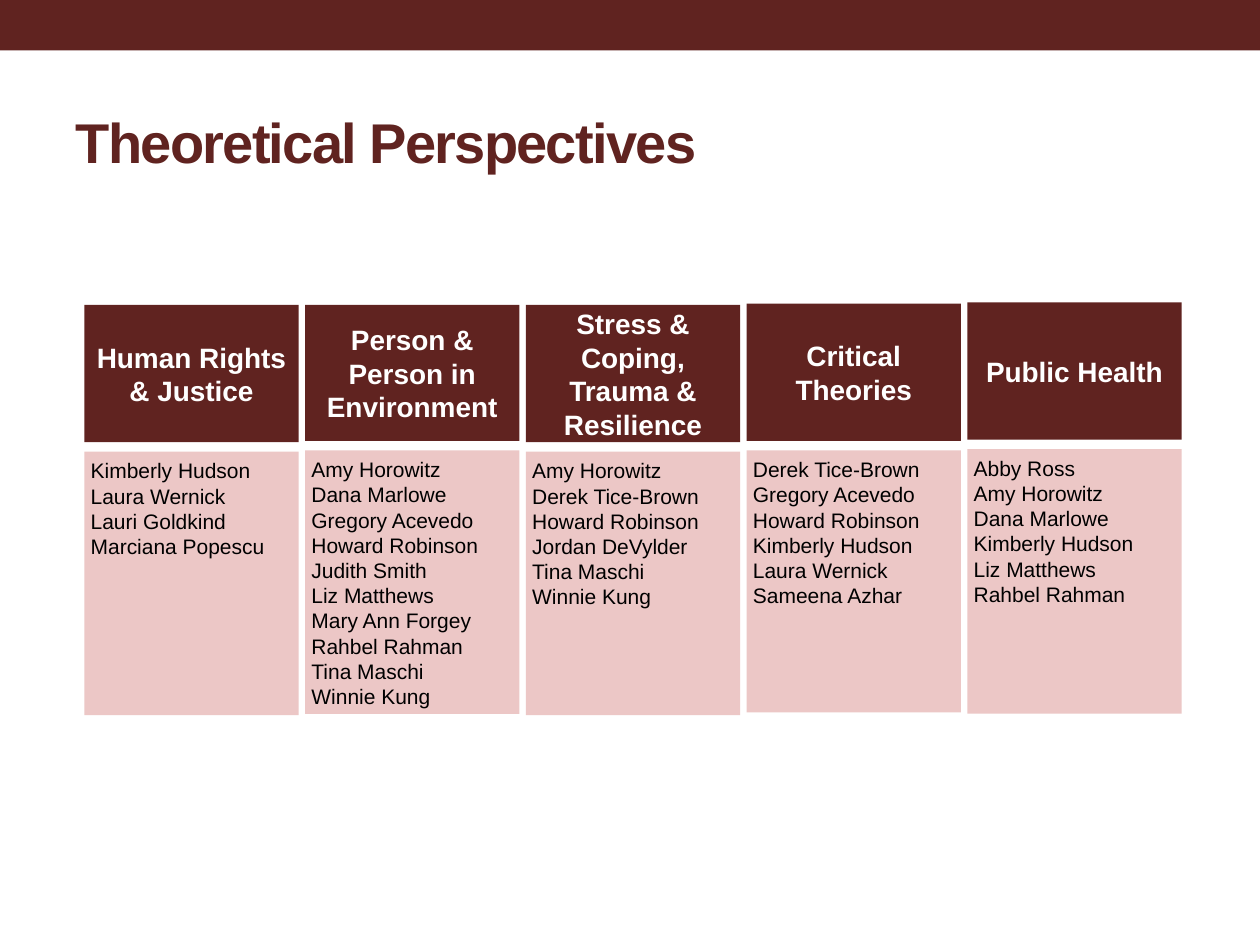
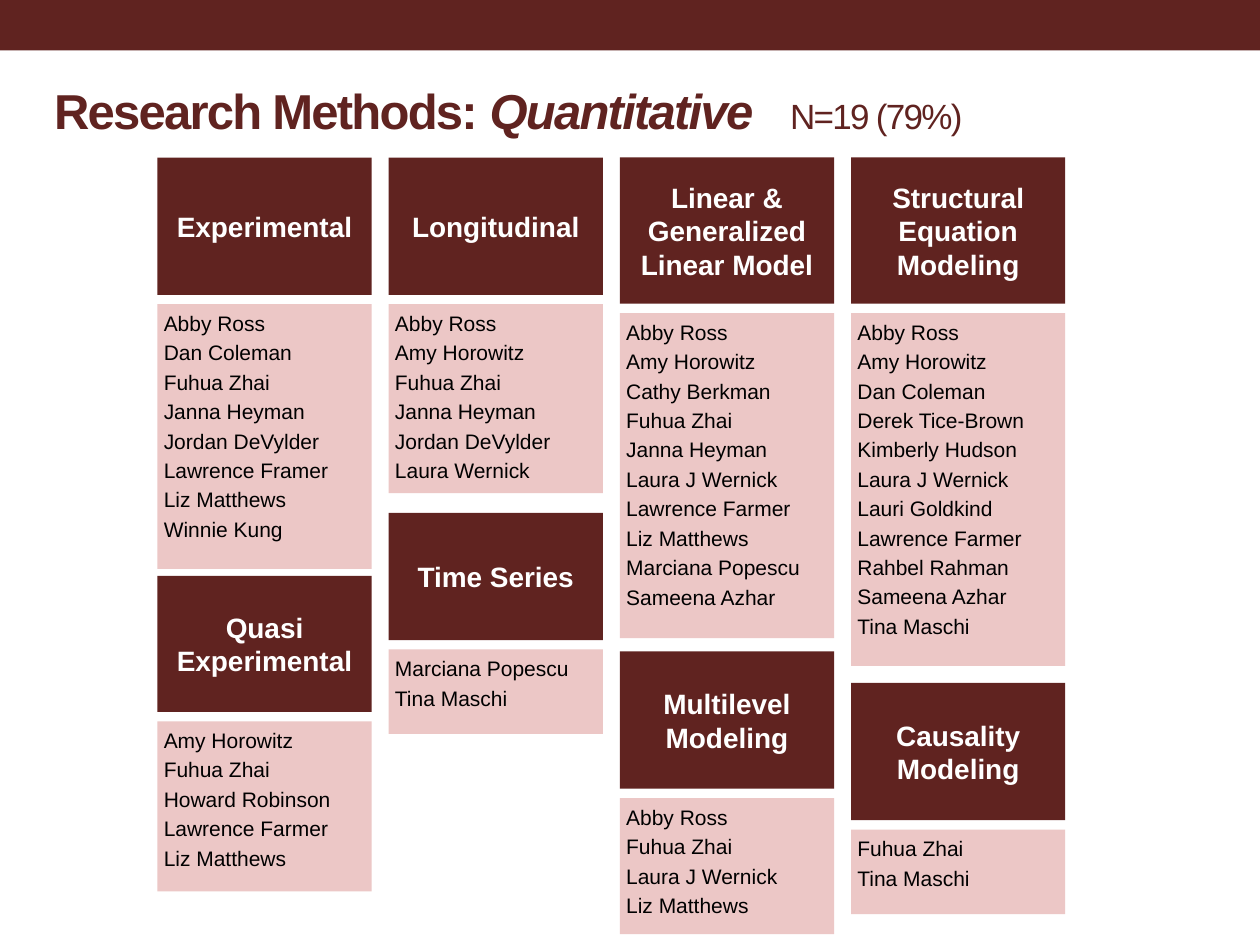
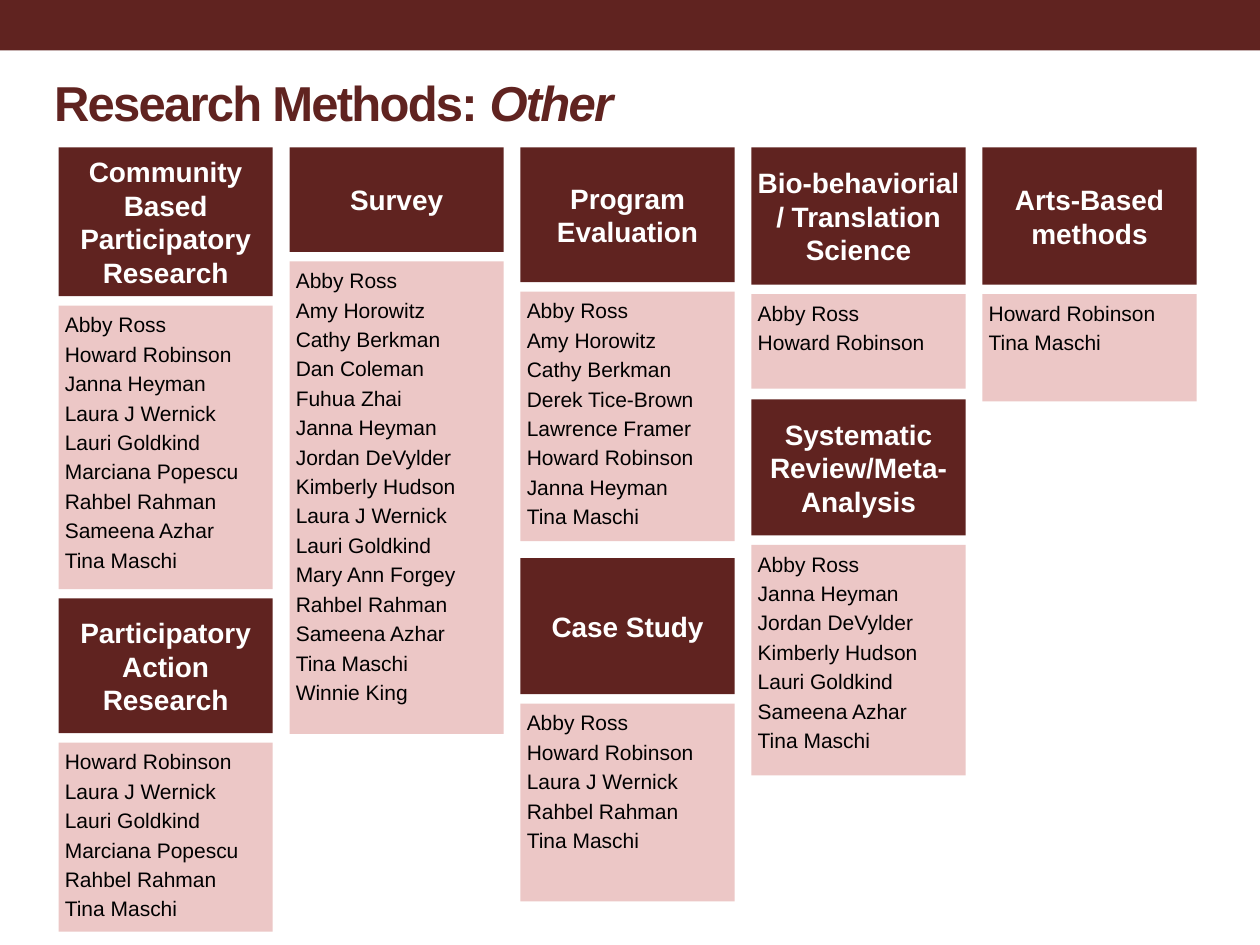
from dataclasses import dataclass

from lxml import etree
from pptx import Presentation
from pptx import util as u
from pptx.dml.color import RGBColor
from pptx.enum import shapes, text
from pptx.oxml import ns


@dataclass(frozen=True)
class Theme:
    """Colours, font and type sizes shared by all slides."""
    maroon: RGBColor = RGBColor(0x60, 0x23, 0x20)
    pink: RGBColor = RGBColor(0xEC, 0xC7, 0xC6)
    white: RGBColor = RGBColor(0xFF, 0xFF, 0xFF)
    black: RGBColor = RGBColor(0, 0, 0)
    font: str = "Arial"
    head: int = 16
    name: int = 12
    leading: float = 1.2


T = Theme()

prs = Presentation()
prs.slide_width, prs.slide_height = u.Inches(10), u.Inches(7.5)
# The slide is a grid of 100 columns and 75 rows of square cells.
CELL = prs.slide_width // 100
BOX_W = 17
LIST_GAP = 0.75


def add_run(p, words, size, color, bold=False, italic=False):
    """Add one formatted run to a paragraph and return it."""
    r = p.add_run()
    r.text = words
    f = r.font
    f.name, f.size, f.bold, f.italic = T.font, u.Pt(size), bold, italic
    f.color.rgb = color
    return r


def add_box(s, at, fill, lines=(), head=False, gap=0):
    """Add a flat rectangle at grid position `at`, one paragraph a line."""
    sp = s.shapes.add_shape(shapes.MSO_SHAPE.RECTANGLE,
                            *(round(v * CELL) for v in at))
    sp.shadow.inherit = False
    sp.fill.solid()
    sp.fill.fore_color.rgb = fill
    sp.line.fill.background()
    tf = sp.text_frame
    tf.word_wrap = True
    tf.margin_top = tf.margin_bottom = u.Inches(0.05)
    tf.margin_left = tf.margin_right = u.Inches(0.04 if head else 0.05)
    tf.vertical_anchor = text.MSO_ANCHOR.MIDDLE if head else text.MSO_ANCHOR.TOP
    size = T.head if head else T.name
    for i, line in enumerate(lines):
        p = tf.add_paragraph() if i else tf.paragraphs[0]
        p.alignment = text.PP_ALIGN.CENTER if head else text.PP_ALIGN.LEFT
        p.line_spacing = u.Pt(size * T.leading)
        p.space_before = u.Pt(gap if i else 0)
        add_run(p, line, size, T.white if head else T.black, bold=head)
    return sp


# Each slide: title runs (words, size, bold, italic), title place, first column,
# column step, space between names, and columns of blocks.
# Each block: heading, top, heading height, list height, names.
SLIDES = [
    dict(
        title=[("Theoretical Perspectives", 32, True, False)],
        title_at=(5, 5.8, 90, 10.8), left=6.7, step=17.52, gap=0,
        columns=[
            [("Human Rights & Justice", 24.2, 10.9, 20.9,
              ["Kimberly Hudson", "Laura Wernick", "Lauri Goldkind",
               "Marciana Popescu"])],
            [("Person & Person in Environment", 24.2, 10.8, 20.9,
              ["Amy Horowitz", "Dana Marlowe", "Gregory Acevedo",
               "Howard Robinson", "Judith Smith", "Liz Matthews",
               "Mary Ann Forgey", "Rahbel Rahman", "Tina Maschi",
               "Winnie Kung"])],
            [("Stress & Coping, Trauma & Resilience", 24.2, 10.9, 20.9,
              ["Amy Horowitz", "Derek Tice-Brown", "Howard Robinson",
               "Jordan DeVylder", "Tina Maschi", "Winnie Kung"])],
            [("Critical Theories", 24.1, 10.9, 20.8,
              ["Derek Tice-Brown", "Gregory Acevedo", "Howard Robinson",
               "Kimberly Hudson", "Laura Wernick", "Sameena Azhar"])],
            [("Public Health", 24, 10.9, 21,
              ["Abby Ross", "Amy Horowitz", "Dana Marlowe",
               "Kimberly Hudson", "Liz Matthews", "Rahbel Rahman"])],
        ]),
    dict(
        title=[("Research Methods: ", 28, True, False),
               ("Quantitative", 28, True, True),
               ("\tN=19 (79%)", 20, False, False)],
        title_at=(3.3, 5.4, 95, 6.7), left=12.5, step=18.35, gap=2.4,
        columns=[
            [("Experimental", 12.5, 10.9, 21,
              ["Abby Ross", "Dan Coleman", "Fuhua Zhai", "Janna Heyman",
               "Jordan DeVylder", "Lawrence Framer", "Liz Matthews",
               "Winnie Kung"]),
             ("Quasi Experimental", 45.7, 10.8, 13.5,
              ["Amy Horowitz", "Fuhua Zhai", "Howard Robinson",
               "Lawrence Farmer", "Liz Matthews"])],
            [("Longitudinal", 12.5, 10.9, 15,
              ["Abby Ross", "Amy Horowitz", "Fuhua Zhai", "Janna Heyman",
               "Jordan DeVylder", "Laura Wernick"]),
             ("Time Series", 40.7, 10.1, 6.7,
              ["Marciana Popescu", "Tina Maschi"])],
            [("Linear & Generalized Linear Model", 12.5, 11.6, 25.8,
              ["Abby Ross", "Amy Horowitz", "Cathy Berkman", "Fuhua Zhai",
               "Janna Heyman", "Laura J Wernick", "Lawrence Farmer",
               "Liz Matthews", "Marciana Popescu", "Sameena Azhar"]),
             ("Multilevel Modeling", 51.7, 10.9, 10.8,
              ["Abby Ross", "Fuhua Zhai", "Laura J Wernick",
               "Liz Matthews"])],
            [("Structural Equation Modeling", 12.5, 11.6, 28,
              ["Abby Ross", "Amy Horowitz", "Dan Coleman",
               "Derek Tice-Brown", "Kimberly Hudson", "Laura J Wernick",
               "Lauri Goldkind", "Lawrence Farmer", "Rahbel Rahman",
               "Sameena Azhar", "Tina Maschi"]),
             ("Causality Modeling", 54.2, 10.9, 6.7,
              ["Fuhua Zhai", "Tina Maschi"])],
        ]),
    dict(
        title=[("Research Methods: ", 28, True, False),
               ("Other", 28, True, True)],
        title_at=(3.3, 5.4, 88.8, 5.3), left=4.65, step=18.33, gap=2.4,
        columns=[
            [("Community Based Participatory Research", 11.7, 11.8, 22.5,
              ["Abby Ross", "Howard Robinson", "Janna Heyman",
               "Laura J Wernick", "Lauri Goldkind", "Marciana Popescu",
               "Rahbel Rahman", "Sameena Azhar", "Tina Maschi"]),
             ("Participatory Action Research", 47.5, 10.7, 15,
              ["Howard Robinson", "Laura J Wernick", "Lauri Goldkind",
               "Marciana Popescu", "Rahbel Rahman", "Tina Maschi"])],
            [("Survey", 11.7, 8.3, 37.5,
              ["Abby Ross", "Amy Horowitz", "Cathy Berkman", "Dan Coleman",
               "Fuhua Zhai", "Janna Heyman", "Jordan DeVylder",
               "Kimberly Hudson", "Laura J Wernick", "Lauri Goldkind",
               "Mary Ann Forgey", "Rahbel Rahman", "Sameena Azhar",
               "Tina Maschi", "Winnie King"])],
            [("Program Evaluation", 11.7, 10.7, 19.8,
              ["Abby Ross", "Amy Horowitz", "Cathy Berkman",
               "Derek Tice-Brown", "Lawrence Framer", "Howard Robinson",
               "Janna Heyman", "Tina Maschi"]),
             ("Case Study", 44.3, 10.8, 15.7,
              ["Abby Ross", "Howard Robinson", "Laura J Wernick",
               "Rahbel Rahman", "Tina Maschi"])],
            [("Bio-behaviorial / Translation Science", 11.7, 10.9, 7.5,
              ["Abby Ross", "Howard Robinson"]),
             ("Systematic Review/Meta-Analysis", 31.7, 10.8, 18.3,
              ["Abby Ross", "Janna Heyman", "Jordan DeVylder",
               "Kimberly Hudson", "Lauri Goldkind", "Sameena Azhar",
               "Tina Maschi"])],
            [("Arts-Based methods", 11.7, 10.9, 8.5,
              ["Howard Robinson", "Tina Maschi"])],
        ]),
]
TITLE_TAB = 58.4

for n, page in enumerate(SLIDES):
    s = prs.slides.add_slide(prs.slide_layouts[5])
    if n == 0:
        # The band is drawn once and moved to the master.
        band = add_box(s, (0, 0, 100, 4), T.maroon)
        prs.slide_master.shapes.element.insert(2, band.element)

    title = s.shapes.title
    title.left, title.top, title.width, title.height = (
        round(v * CELL) for v in page["title_at"])
    tf = title.text_frame
    tf.word_wrap = True
    tf.auto_size = text.MSO_AUTO_SIZE.NONE
    tf.vertical_anchor = text.MSO_ANCHOR.MIDDLE
    p = tf.paragraphs[0]
    p.alignment = text.PP_ALIGN.LEFT
    for words, size, bold, italic in page["title"]:
        r = add_run(p, words, size, T.maroon, bold, italic)
        r._r.get_or_add_rPr().set("spc", "-100")
        if words.startswith("\t"):
            tabs = etree.SubElement(p._p.get_or_add_pPr(), ns.qn("a:tabLst"))
            etree.SubElement(tabs, ns.qn("a:tab"),
                             pos=str(round(TITLE_TAB * CELL)), algn="l")

    for i, blocks in enumerate(page["columns"]):
        left = page["left"] + i * page["step"]
        for heading, top, head_h, list_h, names in blocks:
            add_box(s, (left, top, BOX_W, head_h), T.maroon, [heading], head=True)
            add_box(s, (left, top + head_h + LIST_GAP, BOX_W, list_h), T.pink,
                    names, gap=page["gap"])

prs.save("out.pptx")
